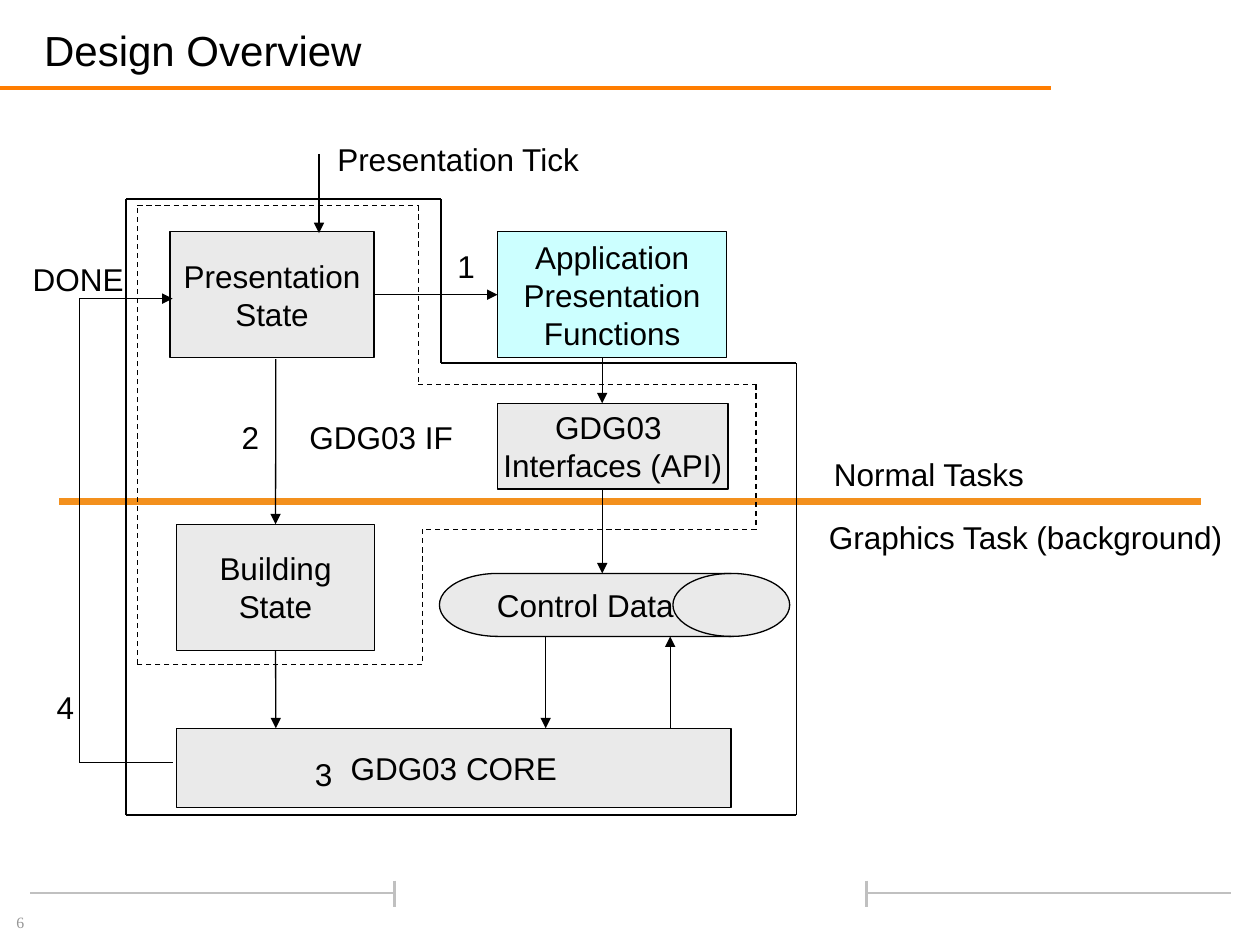
from itertools import pairwise

from lxml.etree import SubElement
from pptx import Presentation
from pptx.dml.color import RGBColor
from pptx.enum.dml import MSO_LINE_DASH_STYLE as Dash
from pptx.enum.shapes import MSO_CONNECTOR as Conn, MSO_SHAPE as Form
from pptx.enum.text import MSO_ANCHOR as Anchor, MSO_AUTO_SIZE as Auto, PP_ALIGN as Align
from pptx.oxml.ns import qn
from pptx.util import Cm, Pt

BLACK, GREY, CYAN = "000000", "EAEAEA", "CCFFFF"
ORANGE, AMBER, SILVER, DIM = "FF7D00", "F3901D", "C0C0C0", "969696"


def paint(code):
    return RGBColor.from_string(code)


def write(frame, rows, size=18, face="Arial", ink=BLACK, align=Align.LEFT):
    for i, row in enumerate(rows):
        para = frame.add_paragraph() if i else frame.paragraphs[0]
        para.alignment = align
        run = para.add_run()
        run.text = row
        run.font.size, run.font.name = Pt(size), face
        run.font.color.rgb = paint(ink)


def line(slide, start, end, ink=BLACK, width=0.75, dash=False, arrow=False):
    link = slide.shapes.add_connector(Conn.STRAIGHT, *map(Cm, (*start, *end)))
    link.line.color.rgb = paint(ink)
    link.line.width = Pt(width)
    if dash:
        link.line.dash_style = Dash.DASH
    props = link._element.spPr
    if arrow:
        SubElement(props.find(qn("a:ln")), qn("a:tailEnd"), type="triangle")
    SubElement(props, qn("a:effectLst"))
    return link


def node(slide, box, rows, fill=GREY, form=Form.RECTANGLE):
    shape = slide.shapes.add_shape(form, *map(Cm, box))
    shape.shadow.inherit = False
    shape.fill.solid()
    shape.fill.fore_color.rgb = paint(fill)
    shape.line.color.rgb = paint(BLACK)
    shape.line.width = Pt(0.75)
    frame = shape.text_frame
    frame.word_wrap = False
    frame.vertical_anchor = Anchor.MIDDLE
    write(frame, rows, align=Align.CENTER)
    return shape


def header(slide, left, top, width, height):
    # Title above its rule
    box = slide.shapes.add_textbox(Cm(left + 0.89), Cm(top + 0.33), Cm(width - 1.3), Cm(1.19))
    frame = box.text_frame
    frame.word_wrap = True
    frame.vertical_anchor = Anchor.BOTTOM
    frame.margin_left = frame.margin_right = frame.margin_top = frame.margin_bottom = 0
    write(frame, ["Design Overview"], 24)
    base = top + height
    line(slide, (left, base), (left + width, base), ORANGE, 2.25)


def diagram(slide, left, top):
    def at(x, y):
        return left + x, top + y

    def block(x, y, wide, high, rows, **style):
        return node(slide, (*at(x, y), wide, high), rows, **style)

    def arrow(start, end):
        return line(slide, at(*start), at(*end), arrow=True)

    def route(points, **style):
        for start, end in pairwise(points):
            link = line(slide, at(*start), at(*end), **style)
        return link

    # Blocks
    state = block(0.89, 2.13, 4.11, 2.54, ["Presentation", "State"])
    build = block(1.02, 8.03, 3.99, 2.54, ["Building", "State"])
    app = block(7.49, 2.13, 4.62, 2.54, ["Application", "Presentation", "Functions"], fill=CYAN)
    block(1.02, 12.14, 11.18, 1.6, ["GDG03 CORE"])
    block(7.49, 5.59, 4.65, 1.73, ["GDG03 ", "Interfaces (API)"])
    line(slide, at(-1.35, 7.57), at(21.67, 7.57), AMBER, 4.5)
    block(6.32, 9.02, 7.06, 1.27, ["Control Data"],
          form=Form.FLOWCHART_DIRECT_ACCESS_STORAGE)

    # Flow arrows
    call = arrow((5, 3.4), (7.49, 3.4))
    call.begin_connect(state, 3)
    call.end_connect(app, 1)
    arrow((3.02, 4.7), (3.02, 8.03)).end_connect(build, 0)
    arrow((3.02, 10.57), (3.02, 12.14)).begin_connect(build, 2)
    for start, end in [
        ((3.89, 0.56), (3.89, 2.16)),
        ((9.6, 4.67), (9.6, 5.59)),
        ((9.6, 7.32), (9.6, 9.02)),
        ((8.46, 10.29), (8.46, 12.14)),
        ((10.97, 12.14), (10.97, 10.29)),
    ]:
        arrow(start, end)

    # Interface and module borders
    inner = [(0.23, 1.6), (5.89, 1.6), (5.89, 5.21), (12.7, 5.21),
             (12.7, 8.13), (5.97, 8.13), (5.97, 10.85), (0.23, 10.85)]
    outer = [(0, 1.47), (6.35, 1.47), (6.35, 4.78), (13.51, 4.78),
             (13.51, 13.89), (0, 13.89)]
    route(inner + inner[:1], dash=True)
    route(outer + outer[:1])

    # Way back to the first state
    route([(0.94, 12.83), (-0.94, 12.83), (-0.94, 3.48)])
    arrow((-0.94, 3.48), (0.94, 3.48))

    # Labels
    for x, y, wide, text in [
        (3.45, 5.77, 3.4, "GDG03 IF"),
        (4.01, 0.15, 5.41, "Presentation Tick"),
        (6.43, 2.31, 0.86, "1"),
        (2.08, 5.77, 0.86, "2"),
        (3.56, 12.55, 0.86, "3"),
        (-1.65, 11.2, 0.86, "4"),
        (-2.13, 2.57, 2.34, "DONE"),
        (14.02, 6.5, 4.42, "Normal Tasks"),
        (13.92, 7.77, 8.51, "Graphics Task (background)"),
    ]:
        box = slide.shapes.add_textbox(*map(Cm, (*at(x, y), wide, 1.02)))
        box.text_frame.word_wrap = False
        box.text_frame.auto_size = Auto.SHAPE_TO_FIT_TEXT
        write(box.text_frame, [text])


def footer(slide, left, top, width):
    # Mirrored rules with end ticks
    mid, arm = top + 0.25, 7.34
    for edge, tick in [(left, left + arm), (left + width, left + width - arm)]:
        line(slide, (edge, mid), (tick, mid), SILVER, 1.5)
        line(slide, (tick, top), (tick, top + 0.53), SILVER, 1.5)
    # Page number
    box = slide.shapes.add_textbox(Cm(left - 0.53), Cm(top + 0.53), Cm(3.05), Cm(0.76))
    box.text_frame.word_wrap = True
    write(box.text_frame, ["6"], 9, "Times New Roman", DIM)


def main():
    deck = Presentation()
    deck.slide_width, deck.slide_height = Cm(25.4), Cm(19.05)
    slide = deck.slides.add_slide(deck.slide_layouts[6])
    header(slide, 0, 0, 21.18, 1.78)
    footer(slide, 0.61, 17.75, 24.2)
    diagram(slide, 2.54, 2.54)
    deck.save("out.pptx")


if __name__ == "__main__":
    main()
